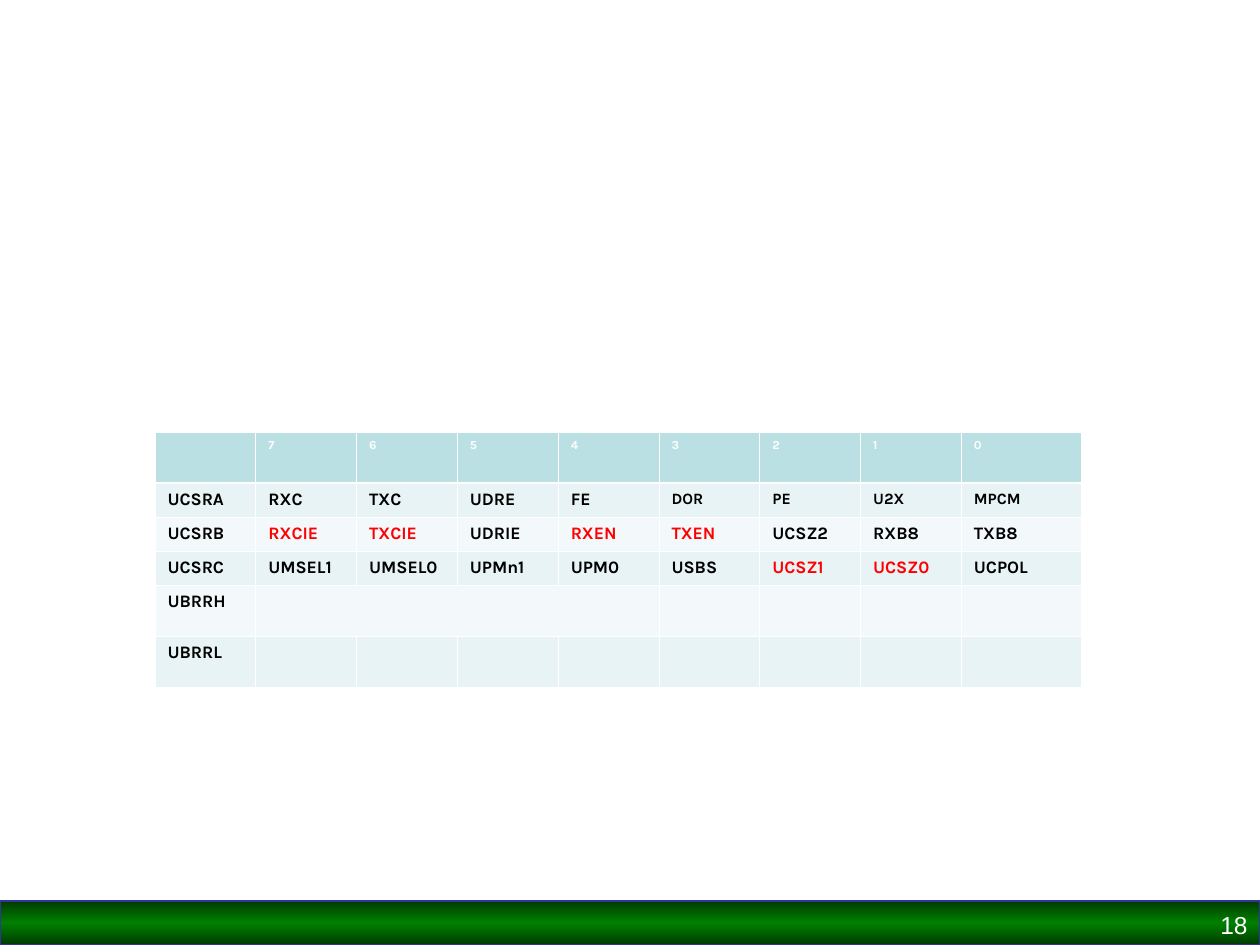
"""Build the slide that lists the bits of the USART registers."""
import copy
import pptx
import pptx.dml.color
import pptx.enum.shapes
import pptx.enum.text
import pptx.oxml
import pptx.oxml.ns
import pptx.util
from pptx.util import Inches

THEME = {
    "white": "FFFFFF", "black": "000000", "red": "FF0000",
    "head": "BBE0E3", "odd": "E7F3F4", "even": "F3F9FA",
    "dark": "003B00", "green": "008000", "edge": "333399",
    "tiny": 7, "small": 9, "text": 10, "page": 14,
    "thin": 0.45, "thick": 1.47,
}
ROWS = [
    ["", "7", "6", "5", "4", "3", "2", "1", "0"],
    ["UCSRA", "RXC", "TXC", "UDRE", "FE", "DOR", "PE", "U2X", "MPCM"],
    ["UCSRB", "RXCIE", "TXCIE", "UDRIE", "RXEN", "TXEN", "UCSZ2", "RXB8", "TXB8"],
    ["UCSRC", "UMSEL1", "UMSEL0", "UPMn1", "UPM0", "USBS", "UCSZ1", "UCSZ0", "UCPOL"],
    ["UBRRH"] + [""] * 8,
    ["UBRRL"] + [""] * 8,
]
REDS = {"RXCIE", "TXCIE", "RXEN", "TXEN", "UCSZ1", "UCSZ0"}
SMALL = {"DOR", "PE", "U2X", "MPCM"}


def color(name):
    return pptx.dml.color.RGBColor.from_string(THEME[name])


def write(frame, text, tint, **form):
    run = frame.paragraphs[0].add_run()
    run.text = text
    for key, value in form.items():
        setattr(run.font, key, value)
    run.font.color.rgb = color(tint)


deck = pptx.Presentation()
deck.slide_width, deck.slide_height = Inches(10), Inches(7.5)
slide = deck.slides.add_slide(deck.slide_layouts[6])

bar = slide.shapes.add_shape(
    pptx.enum.shapes.MSO_SHAPE.RECTANGLE, Inches(0), Inches(7.15), Inches(10), Inches(0.35))
bar.shadow.inherit = False
bar.line.color.rgb = color("edge")
bar.line.width = pptx.util.Pt(0.75)
bar.fill.gradient()
bar.fill.gradient_angle = 270
stops = bar.fill.gradient_stops
stops[0].color.rgb = color("dark")
stops[1].color.rgb = color("green")
stops[1].position = 0.5
first = bar.fill._fill._gradFill.gsLst[0]
last = copy.deepcopy(first)
last.set("pos", "100000")
first.getparent().append(last)

grid = slide.shapes.add_table(
    len(ROWS), len(ROWS[0]), Inches(1.23), Inches(3.43), Inches(7.36), Inches(1.55)).table
for col in grid.columns:
    col.width = Inches(0.8)
grid.columns[8].width = Inches(0.95)
for row in grid.rows:
    row.height = Inches(0.27)
grid.rows[0].height = Inches(0.22)

for r, words in enumerate(ROWS):
    for c, word in enumerate(words):
        cell = grid.cell(r, c)
        for side in "LRTB":
            thick = (r, side) in ((0, "B"), (1, "T"))
            width = pptx.util.Pt(THEME["thick" if thick else "thin"])
            cell._tc.get_or_add_tcPr().append(pptx.oxml.parse_xml(
                f'<a:ln{side} {pptx.oxml.ns.nsdecls("a")} w="{width}"><a:solidFill>'
                f'<a:srgbClr val="{THEME["white"]}"/></a:solidFill></a:ln{side}>'))
        cell.fill.solid()
        cell.fill.fore_color.rgb = color("head" if r == 0 else "odd" if r % 2 else "even")
        if word:
            size = "tiny" if r == 0 else "small" if word in SMALL else "text"
            tint = "white" if r == 0 else "red" if word in REDS else "black"
            write(cell.text_frame, word, tint,
                  name="Karla", size=pptx.util.Pt(THEME[size]), bold=True)
grid.cell(4, 1).merge(grid.cell(4, 4))

page = slide.shapes.add_textbox(Inches(7.67), Inches(7.17), Inches(2.33), Inches(0.33))
page.text_frame.word_wrap = True
page.text_frame.paragraphs[0].alignment = pptx.enum.text.PP_ALIGN.RIGHT
write(page.text_frame, "18", "white", name="Arial", size=pptx.util.Pt(THEME["page"]))

deck.save("out.pptx")
